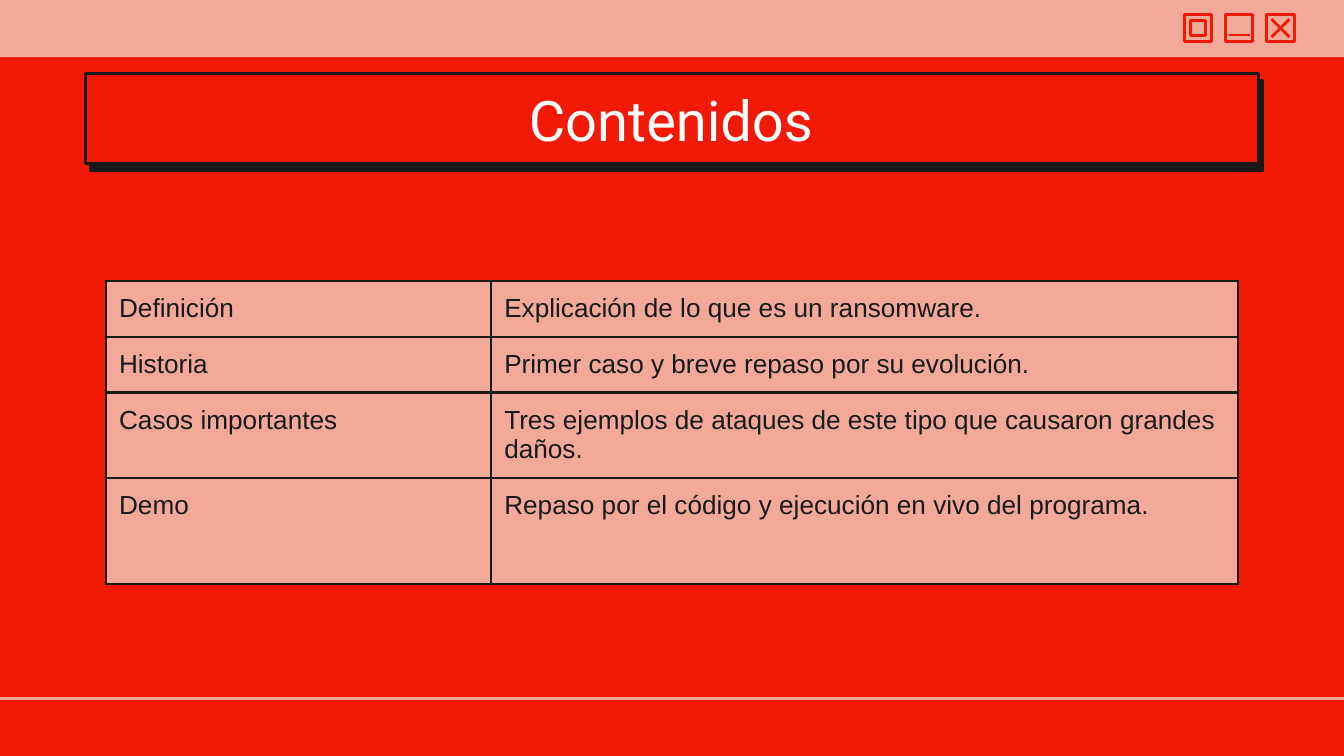
from dataclasses import dataclass

from lxml import etree
from pptx import Presentation
from pptx.dml.color import RGBColor
from pptx.enum.shapes import MSO_CONNECTOR, MSO_SHAPE
from pptx.enum.text import MSO_ANCHOR, MSO_AUTO_SIZE, PP_ALIGN
from pptx.oxml import parse_xml
from pptx.oxml.ns import nsdecls, qn
from pptx.util import Cm, Pt

RECTANGLE = MSO_SHAPE.RECTANGLE
STRAIGHT = MSO_CONNECTOR.STRAIGHT
MIDDLE = MSO_ANCHOR.MIDDLE
NO_AUTOFIT = MSO_AUTO_SIZE.NONE
CENTER = PP_ALIGN.CENTER
TITLE_ONLY = 5


@dataclass(frozen=True)
class Theme:
    """Colours, fonts and sizes of the slide."""

    red: str = "F21905"
    pink: str = "F2A999"
    ink: str = "191919"
    white: str = "FFFFFF"
    title_font: str = "Roboto"
    body_font: str = "Arial"
    title_size: float = 30
    body_size: float = 14
    stroke: float = 1.5
    inset: float = 0.25


THEME = Theme()
CONTENTS = [
    ("Definición", "Explicación de lo que es un ransomware."),
    ("Historia", "Primer caso y breve repaso por su evolución."),
    ("Casos importantes", "Tres ejemplos de ataques de este tipo que causaron grandes daños."),
    ("Demo", "Repaso por el código y ejecución en vivo del programa."),
]
COLUMN_WIDTHS = (7.28, 14.12)
ROW_HEIGHTS = (0.97, 0.97, 0.97, 2.01)


def rgb(colour):
    """Return a colour object for a hex string."""
    return RGBColor.from_string(colour)


def add_box(slide, left, top, width, height, fill=None, outline=None):
    """Add a rectangle with an optional fill and outline."""
    box = slide.shapes.add_shape(RECTANGLE, Cm(left), Cm(top), Cm(width), Cm(height))
    box.shadow.inherit = False
    if fill:
        box.fill.solid()
        box.fill.fore_color.rgb = rgb(fill)
    else:
        box.fill.background()
    if outline:
        box.line.color.rgb = rgb(outline)
        box.line.width = Pt(THEME.stroke)
    else:
        box.line.fill.background()
    return box


def add_rule(slide, x1, y1, x2, y2, colour):
    """Add a straight line without a shadow."""
    rule = slide.shapes.add_connector(STRAIGHT, Cm(x1), Cm(y1), Cm(x2), Cm(y2))
    rule.line.color.rgb = rgb(colour)
    rule.line.width = Pt(THEME.stroke)
    etree.SubElement(rule._element.spPr, qn("a:effectLst"))


def add_hard_shadow(box):
    """Give a box a solid offset shadow."""
    effects = box._element.spPr.find(qn("a:effectLst"))
    effects.append(parse_xml(
        f'<a:outerShdw {nsdecls("a")} blurRad="0" dist="{Pt(4.5)}" dir="{54 * 60000}"'
        f' algn="bl" rotWithShape="0"><a:srgbClr val="{THEME.ink}"/></a:outerShdw>'
    ))


def add_window_buttons(slide):
    """Draw the maximise, minimise and close buttons."""
    top, side, pitch = 0.27, 0.52, 0.78
    maximise, minimise, close = (22.38 + pitch * i for i in range(3))
    for left in (maximise, minimise, close):
        add_box(slide, left, top, side, side, outline=THEME.red)
    pane = 0.28
    margin = (side - pane) / 2
    add_box(slide, maximise + margin, top + margin, pane, pane, outline=THEME.red)
    add_rule(slide, minimise + 0.06, top + 0.39, minimise + side - 0.06, top + 0.39, THEME.red)
    near, far = 0.09, side - 0.09
    for start, end in ((near, far), (far, near)):
        add_rule(slide, close + start, top + near, close + end, top + far, THEME.red)


def set_insets(holder):
    """Set equal margins on a text frame or a table cell."""
    holder.margin_left = holder.margin_right = Cm(THEME.inset)
    holder.margin_top = holder.margin_bottom = Cm(THEME.inset)


def style_text(frame, font, size, colour):
    """Format every run of a text frame."""
    for paragraph in frame.paragraphs:
        for run in paragraph.runs:
            run.font.name = font
            run.font.size = Pt(size)
            run.font.color.rgb = rgb(colour)


def place_title(slide, text):
    """Place the title placeholder over its frame."""
    title = slide.shapes.title
    title.left, title.top, title.width, title.height = Cm(1.98), Cm(1.45), Cm(21.4), Cm(1.6)
    frame = title.text_frame
    frame.text = text
    frame.word_wrap = True
    frame.auto_size = NO_AUTOFIT
    frame.vertical_anchor = MIDDLE
    frame.paragraphs[0].alignment = CENTER
    set_insets(frame)
    style_text(frame, THEME.title_font, THEME.title_size, THEME.white)
    slide.shapes._spTree.append(title._element)


def set_borders(cell):
    """Outline all four sides of a table cell."""
    properties = cell._tc.get_or_add_tcPr()
    for position, side in enumerate(("lnL", "lnR", "lnT", "lnB")):
        properties.insert(position, parse_xml(
            f'<a:{side} {nsdecls("a")} w="{Pt(THEME.stroke)}"><a:solidFill>'
            f'<a:srgbClr val="{THEME.ink}"/></a:solidFill></a:{side}>'
        ))


def add_contents_table(slide):
    """Add the table of topics and their descriptions."""
    table = slide.shapes.add_table(
        len(CONTENTS), len(COLUMN_WIDTHS), Cm(2), Cm(5.31),
        Cm(sum(COLUMN_WIDTHS)), Cm(sum(ROW_HEIGHTS)),
    ).table
    table.first_row = table.horz_banding = False
    for column, width in zip(table.columns, COLUMN_WIDTHS):
        column.width = Cm(width)
    for row, height, texts in zip(table.rows, ROW_HEIGHTS, CONTENTS):
        row.height = Cm(height)
        for cell, text in zip(row.cells, texts):
            cell.text_frame.text = text
            cell.fill.solid()
            cell.fill.fore_color.rgb = rgb(THEME.pink)
            set_insets(cell)
            style_text(cell.text_frame, THEME.body_font, THEME.body_size, THEME.ink)
            set_borders(cell)
        row.cells[1].text_frame.paragraphs[0].space_after = Pt(16)


def main():
    """Build the contents slide and save it."""
    deck = Presentation()
    deck.slide_width, deck.slide_height = Cm(25.4), Cm(14.29)
    slide = deck.slides.add_slide(deck.slide_layouts[TITLE_ONLY])
    slide.background.fill.solid()
    slide.background.fill.fore_color.rgb = rgb(THEME.red)
    title_frame = add_box(slide, 1.61, 1.39, 22.17, 1.7, THEME.red, THEME.ink)
    add_hard_shadow(title_frame)
    add_box(slide, -0.05, 0, 25.5, 1.08, THEME.pink)
    add_window_buttons(slide)
    add_rule(slide, -0.08, 13.21, 25.48, 13.21, THEME.pink)
    place_title(slide, "Contenidos")
    add_contents_table(slide)
    deck.save("out.pptx")


if __name__ == "__main__":
    main()
